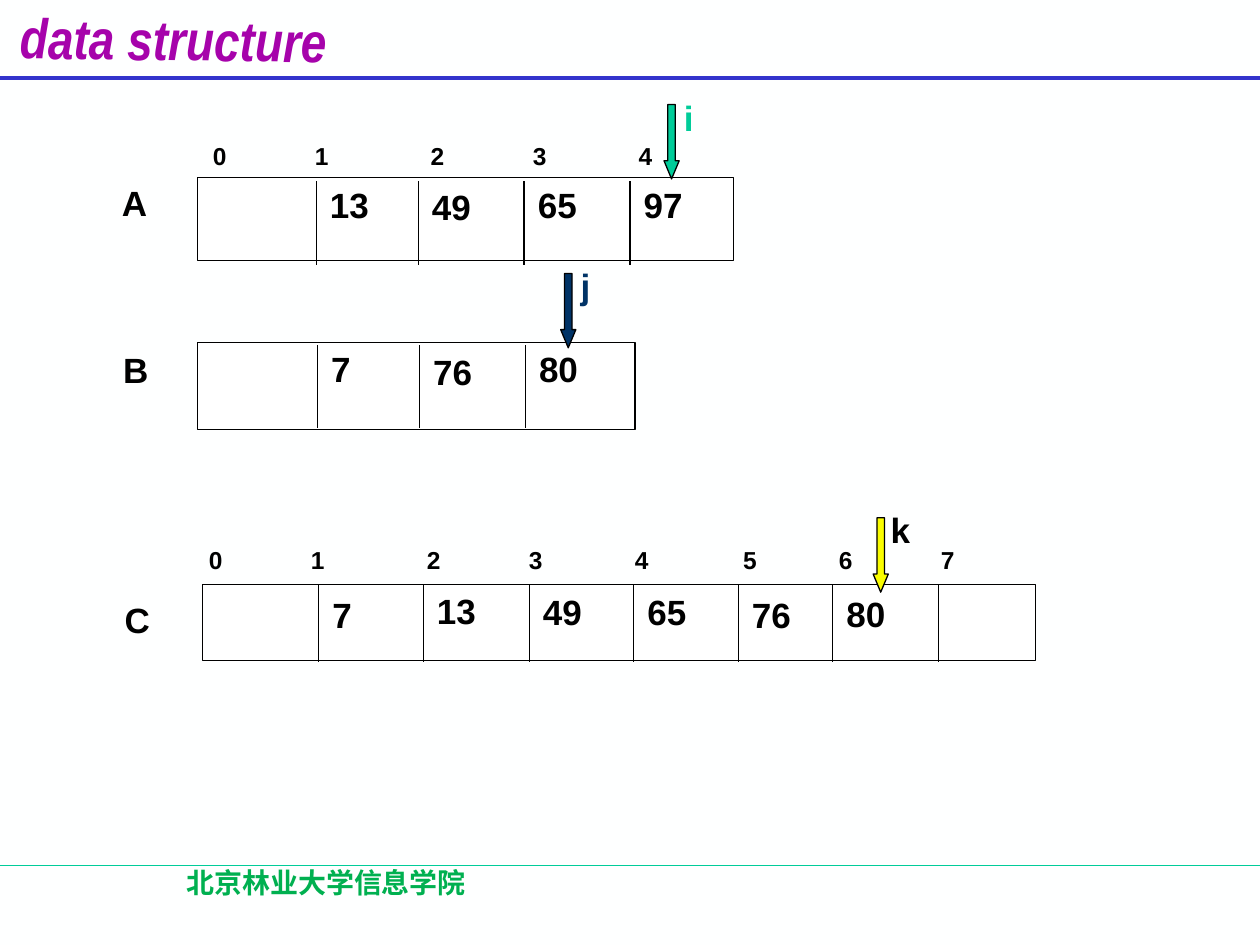
from lxml import etree
from pptx import Presentation
from pptx.dml.color import RGBColor
from pptx.enum import shapes, text
from pptx.oxml.ns import qn
from pptx.util import Inches, Pt

BACKGROUND = RGBColor(0xFE, 0xFF, 0xFF)
WHITE = RGBColor(0xFF, 0xFF, 0xFF)
BLACK = RGBColor(0, 0, 0)
PURPLE = RGBColor(0xA6, 0x03, 0xAB)
BLUE = RGBColor(0x33, 0x33, 0xCC)
TEAL = RGBColor(0, 0xCC, 0x99)
NAVY = RGBColor(0, 0x33, 0x66)
YELLOW = RGBColor(0xFA, 0xFD, 0)
GREEN = RGBColor(0, 0xB0, 0x50)

INDEX_TABS = [0.81, 1.73, 2.54, 3.38, 4.24, 5.0, 5.81]


def add_text(parent, wording, left, top, width, height, size=20, color=BLACK, font="Arial"):
    frame = parent.add_textbox(Inches(left), Inches(top), Inches(width), Inches(height)).text_frame
    frame.word_wrap = True
    run = frame.paragraphs[0].add_run()
    run.text = wording
    run.font.name = font
    run.font.size = Pt(size)
    run.font.bold = True
    run.font.color.rgb = color
    return frame.paragraphs[0]


def add_line(x1, y1, x2, y2, color=BLACK, weight=0.75):
    line = slide.shapes.add_connector(
        shapes.MSO_CONNECTOR.STRAIGHT, Inches(x1), Inches(y1), Inches(x2), Inches(y2))
    line.line.color.rgb = color
    line.line.width = Pt(weight)
    etree.SubElement(line._element.spPr, qn("a:effectLst"))


prs = Presentation()
prs.slide_width, prs.slide_height = Inches(10), Inches(7.5)
slide = prs.slides.add_slide(prs.slide_layouts[5])
slide.background.fill.solid()
slide.background.fill.fore_color.rgb = BACKGROUND

# Heading and footer
add_line(0, 6.87, 10, 6.87, TEAL, 1)
add_line(0, 0.62, 10, 0.62, BLUE, 2.25)

title = slide.shapes.title
title.left, title.top = Inches(0.06), Inches(-0.01)
title.width, title.height = Inches(2.9), Inches(0.54)
title.rotation = 0.8
heading = title.text_frame
heading.auto_size = text.MSO_AUTO_SIZE.NONE
heading.word_wrap = True
heading.vertical_anchor = text.MSO_ANCHOR.TOP
heading.paragraphs[0].alignment = text.PP_ALIGN.LEFT
run = heading.paragraphs[0].add_run()
run.text = "data structure"
run.font.name = "Arial Narrow"
run.font.size = Pt(32)
run.font.bold = run.font.italic = True
run.font.color.rgb = PURPLE

school = add_text(slide.shapes, "北京林业大学信息学院", 0.52, 6.82, 4.14, 0.5,
                  16, GREEN, "Noto Sans CJK SC")
school.alignment = text.PP_ALIGN.CENTER
east_asian = etree.SubElement(school.runs[0].font._element, qn("a:ea"))
east_asian.set("typeface", "Noto Sans CJK SC")

# Arrays: name and its place, frame, divider span, cells as (divider x, value, value top)
arrays = [
    ("A", 0.87, 1.39, (1.57, 1.41, 4.25, 0.66), (1.44, 2.1),
     [(2.51, "13", 1.41), (3.32, "49", 1.42), (4.16, "65", 1.41), (5.0, "97", 1.41)]),
    ("B", 0.88, 2.72, (1.57, 2.72, 3.47, 0.69), (2.74, 3.4),
     [(2.52, "7", 2.71), (3.33, "76", 2.73), (4.17, "80", 2.71)]),
    ("C", 0.89, 4.7, (1.61, 4.64, 6.61, 0.6), (4.64, 5.25),
     [(2.53, "7", 4.66), (3.36, "13", 4.63), (4.2, "49", 4.64), (5.03, "65", 4.64),
      (5.86, "76", 4.66), (6.61, "80", 4.65), (7.45, "", 4.64)]),
]
for name, name_left, name_top, bounds, (upper, lower), cells in arrays:
    add_text(slide.shapes, name, name_left, name_top, 0.67, 0.44)
    frame = slide.shapes.add_shape(shapes.MSO_SHAPE.RECTANGLE, *map(Inches, bounds))
    frame.shadow.inherit = False
    frame.fill.solid()
    frame.fill.fore_color.rgb = WHITE
    frame.line.color.rgb = BLACK
    frame.line.width = Pt(0.75)
    for x, value, value_top in cells:
        add_line(x, upper, x, lower)
        if value:
            add_text(slide.shapes, value, x + 0.01, value_top, 0.67, 0.44)

# Index rows, aligned by tab stops
for count, left, top, width in [(5, 1.59, 1.07, 4.25), (8, 1.56, 4.28, 6.66)]:
    indexes = add_text(slide.shapes, "\t".join(map(str, range(count))), left, top, width, 0.34, 14)
    tab_list = etree.SubElement(indexes._p.get_or_add_pPr(), qn("a:tabLst"))
    for stop in INDEX_TABS[:count - 1]:
        etree.SubElement(tab_list, qn("a:tab"), pos=str(Inches(stop)), algn="l")

# Pointers, each an arrow grouped with its label
pointers = [
    ("i", 5.27, 0.83, 5.33, 0.72, TEAL, TEAL),
    ("j", 4.45, 2.17, 4.51, 2.05, NAVY, NAVY),
    ("k", 6.93, 4.11, 6.97, 3.99, YELLOW, BLACK),
]
for name, left, top, label_left, label_top, fill, label_color in pointers:
    pointer = slide.shapes.add_group_shape()
    arrow = pointer.shapes.add_shape(
        shapes.MSO_SHAPE.DOWN_ARROW, Inches(left), Inches(top), Inches(0.12), Inches(0.59))
    arrow.adjustments[1] = 1.2
    arrow.shadow.inherit = False
    arrow.fill.solid()
    arrow.fill.fore_color.rgb = fill
    arrow.line.color.rgb = BLACK
    arrow.line.width = Pt(0.75)
    add_text(pointer.shapes, name, label_left, label_top, 0.53, 0.44, color=label_color)

prs.save("out.pptx")
